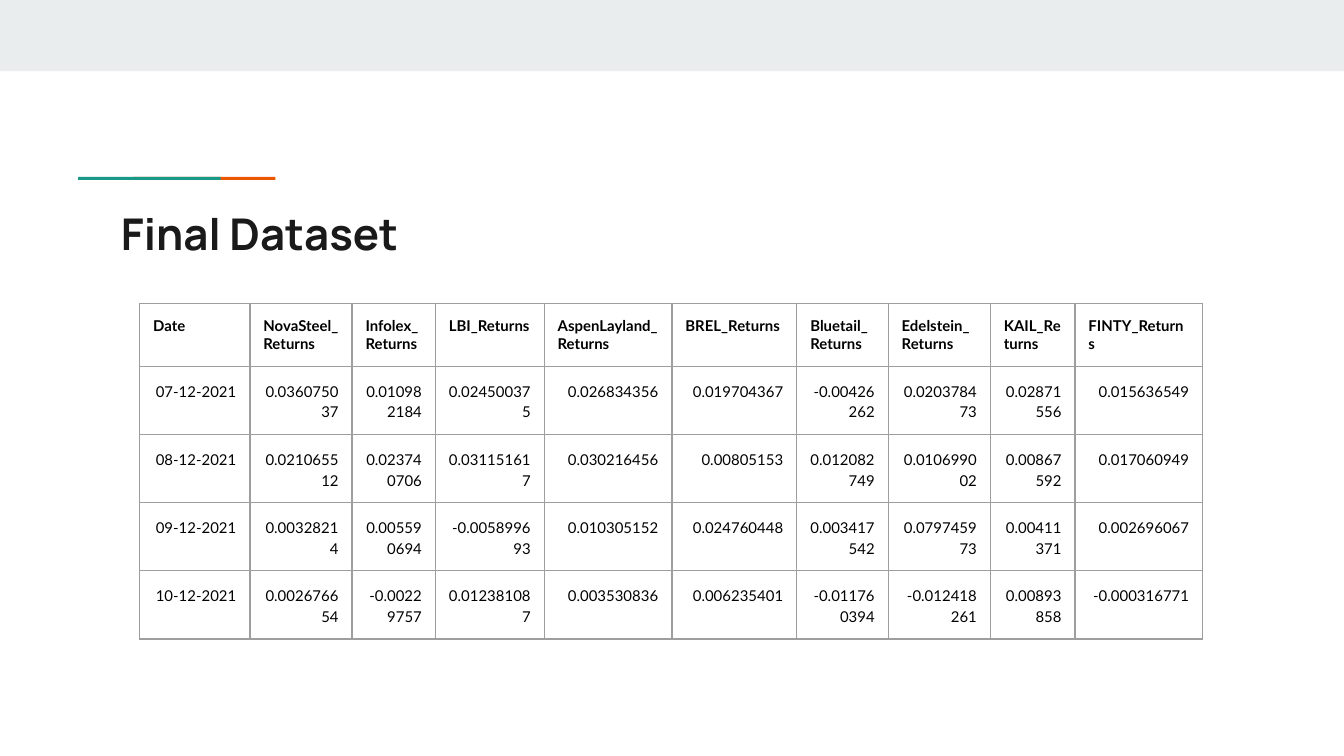
from lxml import etree
from pptx import Presentation
from pptx.dml.color import RGBColor
from pptx.enum.shapes import MSO_SHAPE
from pptx.enum.text import MSO_ANCHOR, MSO_AUTO_SIZE, PP_ALIGN
from pptx.oxml.ns import qn
from pptx.util import Pt

RECT = MSO_SHAPE.RECTANGLE
TOP, NO_FIT = MSO_ANCHOR.TOP, MSO_AUTO_SIZE.NONE
LEFT, RIGHT = PP_ALIGN.LEFT, PP_ALIGN.RIGHT

BAND = RGBColor(0xE9, 0xED, 0xEE)
ORANGE = RGBColor(0xEB, 0x56, 0x00)
TEAL = RGBColor(0x1A, 0x99, 0x88)
INK = RGBColor(0x1A, 0x1A, 0x1A)
BLACK = RGBColor(0, 0, 0)
GRID = RGBColor(0x9E, 0x9E, 0x9E)

NAMES = ["NovaSteel", "Infolex", "LBI", "AspenLayland", "BREL",
         "Bluetail", "Edelstein", "KAIL", "FINTY"]
ROWS = [
    ["Date"] + [f"{name}_Returns" for name in NAMES],
    ["07-12-2021", "0.036075037", "0.010982184", "0.024500375", "0.026834356",
     "0.019704367", "-0.00426262", "0.020378473", "0.02871556", "0.015636549"],
    ["08-12-2021", "0.021065512", "0.023740706", "0.031151617", "0.030216456",
     "0.00805153", "0.012082749", "0.010699002", "0.00867592", "0.017060949"],
    ["09-12-2021", "0.00328214", "0.005590694", "-0.005899693", "0.010305152",
     "0.024760448", "0.003417542", "0.079745973", "0.00411371", "0.002696067"],
    ["10-12-2021", "0.002676654", "-0.00229757", "0.012381087", "0.003530836",
     "0.006235401", "-0.011760394", "-0.012418261", "0.00893858", "-0.000316771"],
]
COL_WIDTHS = [59.04, 54.72, 44.64, 58.32, 68.4, 66.96, 48.96, 54.72, 45.36, 68.4]
ROW_HEIGHTS = [32.4] + [30.24] * 4
INSET = Pt(7.2)
MARGINS = {f"margin_{side}": INSET for side in ("left", "right", "top", "bottom")}


def set_attrs(obj, values):
    for name, value in values.items():
        setattr(obj, name, value)


def add_borders(cell):
    tc_pr = cell._tc.get_or_add_tcPr()
    for i, tag in enumerate(("a:lnL", "a:lnR", "a:lnT", "a:lnB")):
        ln = etree.Element(qn(tag), w=str(Pt(0.75)))
        fill = etree.SubElement(ln, qn("a:solidFill"))
        etree.SubElement(fill, qn("a:srgbClr"), val=str(GRID))
        tc_pr.insert(i, ln)


prs = Presentation()
prs.slide_width, prs.slide_height = Pt(720), Pt(405)
s = prs.slides.add_slide(prs.slide_layouts[5])

# Top band and two-colour accent line
for x, y, w, h, color in [(0, 0, 720, 38.2, BAND),
                          (71.2, 94.8, 76.4, 1.6, ORANGE),
                          (41.8, 94.8, 76.4, 1.6, TEAL)]:
    sp = s.shapes.add_shape(RECT, Pt(x), Pt(y), Pt(w), Pt(h))
    sp.shadow.inherit = False
    sp.fill.solid()
    sp.fill.fore_color.rgb = color
    sp.line.fill.background()

# Title
title = s.shapes.title
set_attrs(title, {"left": Pt(57.6), "top": Pt(103.7),
                  "width": Pt(605.5), "height": Pt(42.5)})
tf = title.text_frame
set_attrs(tf, {**MARGINS, "word_wrap": True, "auto_size": NO_FIT,
               "vertical_anchor": TOP})
p = tf.paragraphs[0]
p.alignment = LEFT
r = p.add_run()
r.text = "Final Dataset"
set_attrs(r.font, {"name": "Manrope", "size": Pt(23.4), "bold": True})
r.font.color.rgb = INK

# Table of returns
table = s.shapes.add_table(len(ROWS), len(COL_WIDTHS), Pt(74.9), Pt(162.7),
                           Pt(sum(COL_WIDTHS)), Pt(sum(ROW_HEIGHTS))).table
set_attrs(table, {"first_row": False, "horz_banding": False})
for col, width in zip(table.columns, COL_WIDTHS):
    col.width = Pt(width)
for row, height in zip(table.rows, ROW_HEIGHTS):
    row.height = Pt(height)

for i, values in enumerate(ROWS):
    header = i == 0
    for j, value in enumerate(values):
        cell = table.cell(i, j)
        set_attrs(cell, {**MARGINS, "vertical_anchor": TOP})
        cell.fill.background()
        add_borders(cell)
        p = cell.text_frame.paragraphs[0]
        set_attrs(p, {"alignment": LEFT if header else RIGHT,
                      "line_spacing": 1.0 if header else 1.15})
        r = p.add_run()
        r.text = value
        set_attrs(r.font, {"name": "Lato", "size": Pt(8), "bold": header})
        r.font.color.rgb = BLACK

prs.save("out.pptx")
